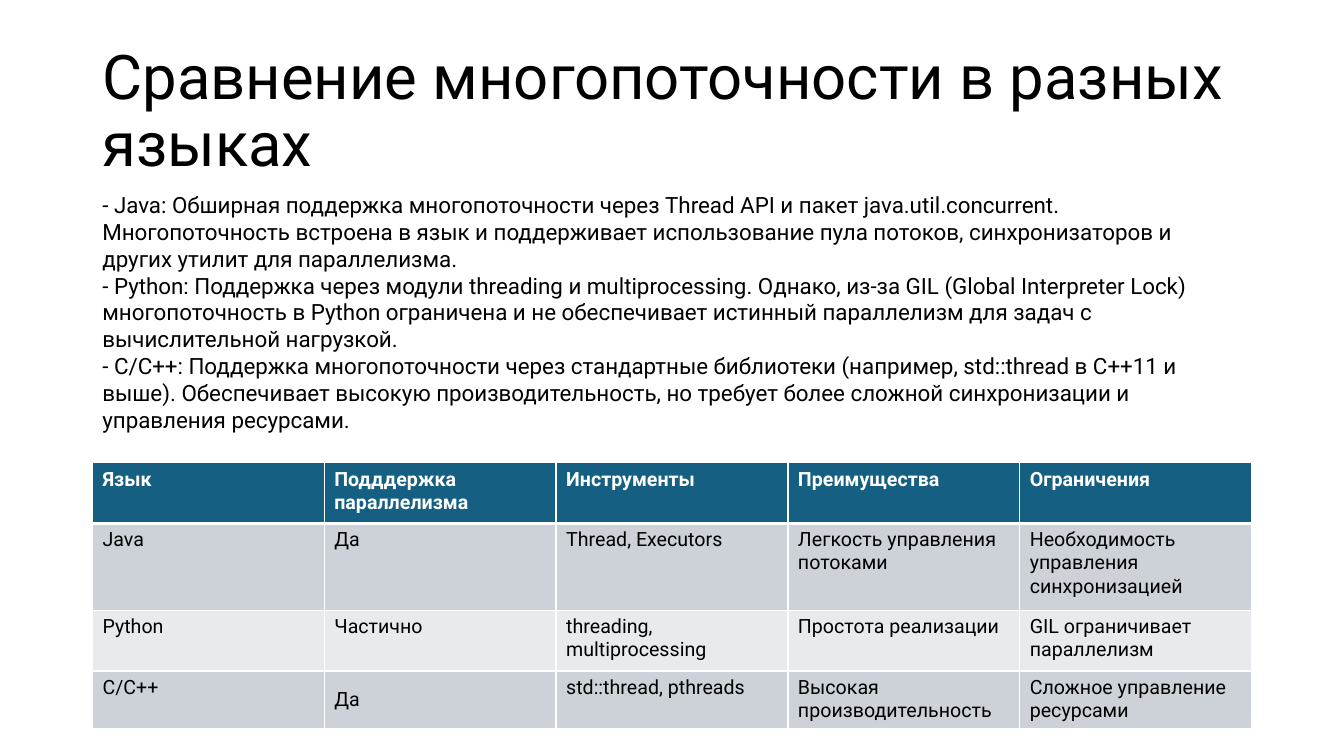
from lxml.etree import SubElement
from pptx import Presentation
from pptx.dml.color import RGBColor
from pptx.enum.text import MSO_ANCHOR, MSO_AUTO_SIZE, PP_ALIGN
from pptx.oxml.ns import qn
from pptx.util import Cm, Pt

# Content
TITLE = "Сравнение многопоточности в разных языках"
NOTES = [
    "- Java: Обширная поддержка многопоточности через Thread API и пакет "
    "java.util.concurrent. Многопоточность встроена в язык и поддерживает "
    "использование пула потоков, синхронизаторов и других утилит для параллелизма.",
    "- Python: Поддержка через модули threading и multiprocessing. Однако, из-за GIL "
    "(Global Interpreter Lock) многопоточность в Python ограничена и не обеспечивает "
    "истинный параллелизм для задач с вычислительной нагрузкой.",
    "- C/C++: Поддержка многопоточности через стандартные библиотеки (например, "
    "std::thread в C++11 и выше). Обеспечивает высокую производительность, но требует "
    "более сложной синхронизации и управления ресурсами.",
]
ROWS = [
    ("Язык", "Подддержка параллелизма", "Инструменты", "Преимущества", "Ограничения"),
    ("Java", "Да", "Thread, Executors", "Легкость управления потоками",
     "Необходимость управления синхронизацией"),
    ("Python", "Частично", "threading, multiprocessing", "Простота реализации",
     "GIL ограничивает параллелизм"),
    ("C/C++", "Да", "std::thread, pthreads", "Высокая производительность",
     "Сложное управление ресурсами"),
]
HEIGHTS = [1.53, 2.19, 1.53, 1.43]
HEAD, BANDS = "156082", ("E8EAED", "CCD2D8")
BLACK, WHITE = "000000", "FFFFFF"
LEFT, WIDTH = 2.33, 29.21


def color(code):
    return RGBColor.from_string(code)


def write(para, text, size, code=BLACK, bold=False):
    run = para.add_run()
    run.text = text
    font = run.font
    font.name, font.size, font.bold = "Roboto", Pt(size), bold
    font.color.rgb = color(code)


def edge(cell, low):
    """White borders; low is the width of the bottom one, in points."""
    props = cell._tc.get_or_add_tcPr()
    for spot, (side, width) in enumerate(zip("LRTB", (1, 1, 1, low))):
        line = SubElement(props, qn("a:ln" + side), w=str(Pt(width)))
        fill = SubElement(line, qn("a:solidFill"))
        SubElement(fill, qn("a:srgbClr"), val=WHITE)
        props.insert(spot, line)


deck = Presentation()
deck.slide_width, deck.slide_height = Cm(33.87), Cm(19.05)
slide = deck.slides.add_slide(deck.slide_layouts[5])

# Title
title = slide.shapes.title
title.left, title.top, title.width, title.height = map(Cm, (LEFT, 1.01, WIDTH, 3.68))
frame = title.text_frame
frame.auto_size = MSO_AUTO_SIZE.NONE
frame.vertical_anchor = MSO_ANCHOR.MIDDLE
para = frame.paragraphs[0]
para.alignment, para.line_spacing = PP_ALIGN.LEFT, 0.9
write(para, TITLE, 44)

# Language notes
box = slide.shapes.add_textbox(*map(Cm, (LEFT, 4.69, 28.83, 6.4)))
frame = box.text_frame
frame.word_wrap = True
frame.auto_size = MSO_AUTO_SIZE.SHAPE_TO_FIT_TEXT
for i, note in enumerate(NOTES):
    para = frame.add_paragraph() if i else frame.paragraphs[0]
    write(para, note, 16)

# Comparison table
count = len(ROWS[0])
place = map(Cm, (LEFT, 11.66, WIDTH, sum(HEIGHTS)))
table = slide.shapes.add_table(len(ROWS), count, *place).table
for col in table.columns:
    col.width = Cm(WIDTH / count)
for r, (row, height) in enumerate(zip(ROWS, HEIGHTS)):
    table.rows[r].height = Cm(height)
    top = r == 0
    for c, text in enumerate(row):
        cell = table.cell(r, c)
        cell.fill.solid()
        cell.fill.fore_color.rgb = color(HEAD if top else BANDS[r % 2])
        edge(cell, 3 if top else 1)
        write(cell.text_frame.paragraphs[0], text, 14, WHITE if top else BLACK, top)
table.cell(3, 1).vertical_anchor = MSO_ANCHOR.MIDDLE

deck.save("out.pptx")
